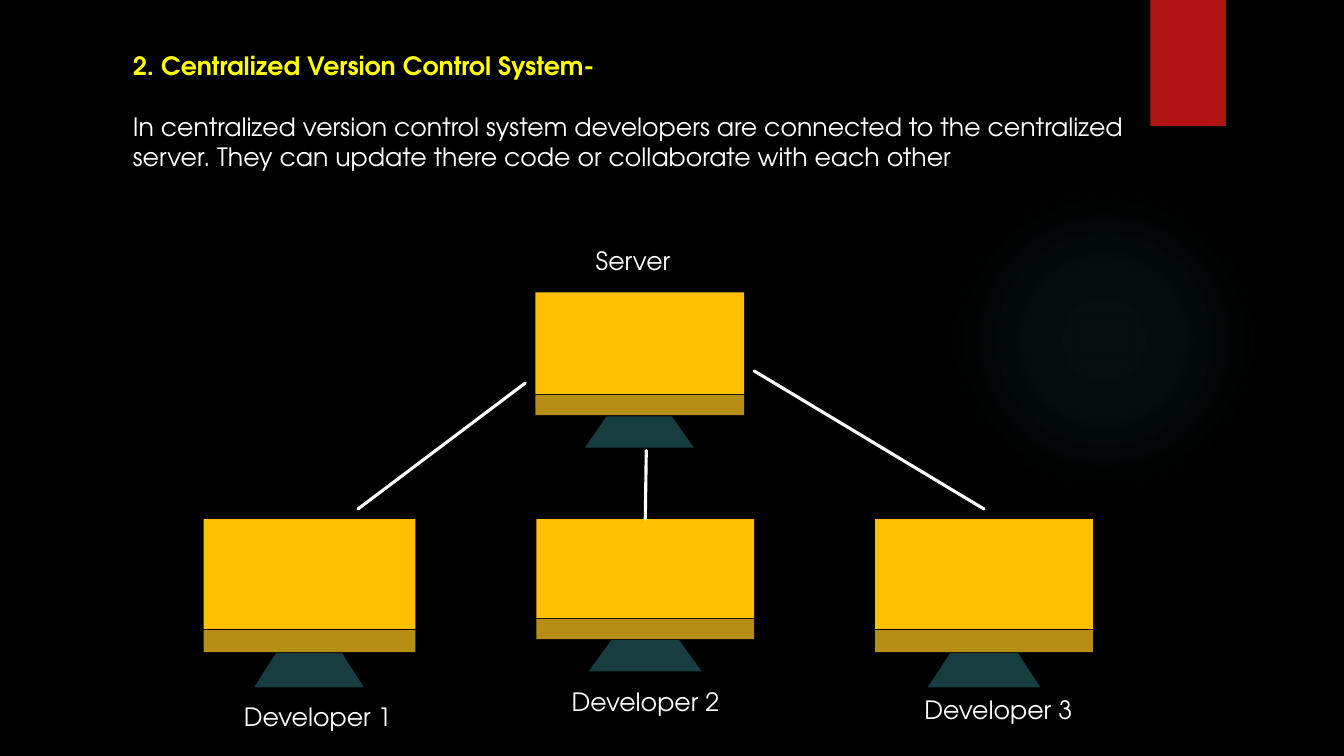
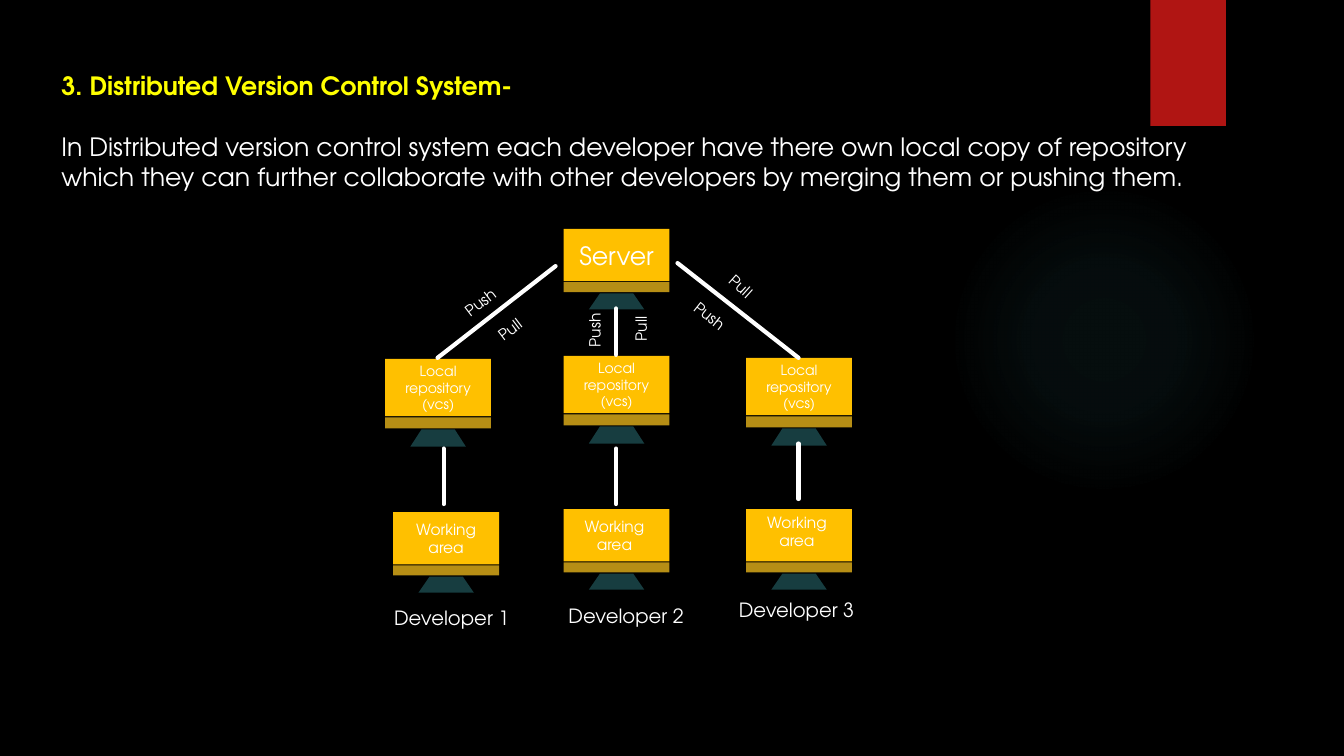
"""Build two slides on centralized and distributed version control."""
from dataclasses import dataclass

from pptx import Presentation
from pptx.dml.color import RGBColor
from pptx.enum.shapes import MSO_CONNECTOR, MSO_SHAPE
from pptx.enum.text import MSO_ANCHOR, PP_ALIGN
from pptx.oxml import parse_xml
from pptx.oxml.ns import nsdecls, qn
from pptx.util import Pt

RECT = MSO_SHAPE.RECTANGLE
OVAL = MSO_SHAPE.OVAL
STAND = MSO_SHAPE.FLOWCHART_MANUAL_OPERATION
STRAIGHT = MSO_CONNECTOR.STRAIGHT
CENTER = PP_ALIGN.CENTER
MIDDLE = MSO_ANCHOR.MIDDLE

PX = 9144
FONT = "TeX Gyre Adventor"
BLACK = RGBColor(0x00, 0x00, 0x00)
WHITE = RGBColor(0xFF, 0xFF, 0xFF)
YELLOW = RGBColor(0xFF, 0xFF, 0x00)
RED = RGBColor(0xB0, 0x15, 0x13)
AMBER = RGBColor(0xFF, 0xC0, 0x00)
OCHRE = RGBColor(0xB6, 0x8E, 0x15)
TEAL = RGBColor(0x17, 0x3D, 0x40)

GLOW_COLOR = "50B9C1"
GLOW_STOPS = ((0, 7), (36, 6), (69, 0))
SHADOW_XML = (
    f'<a:outerShdw {nsdecls("a")} blurRad="38100" dist="25400" dir="5400000">'
    '<a:srgbClr val="000000"><a:alpha val="45000"/></a:srgbClr></a:outerShdw>'
)
LOCAL = "Local repository\n(vcs)"
WORKING = "Working\narea"


@dataclass(frozen=True)
class Computer:
    left: int
    top: int
    width: int
    height: int
    text: str = ""
    size: int = 18
    shift: int = 0
    lift: int = 0


@dataclass(frozen=True)
class Link:
    x1: int
    y1: int
    x2: int
    y2: int


@dataclass(frozen=True)
class Label:
    text: str
    left: int
    top: int
    rotation: float = 0


@dataclass(frozen=True)
class LabelStyle:
    width: int
    height: int
    size: int


def px(*lengths: int) -> list[int]:
    return [n * PX for n in lengths]


def style(p, size: int, color: RGBColor = WHITE, bold: bool = False) -> None:
    for r in p.runs:
        r.font.name = FONT
        r.font.size = Pt(size)
        r.font.color.rgb = color
        r.font.bold = bold


def add_block(shapes, kind, color: RGBColor, left: int, top: int, width: int, height: int):
    sp = shapes.add_shape(kind, *px(left, top, width, height))
    sp.shadow.inherit = False
    sp.fill.solid()
    sp.fill.fore_color.rgb = color
    sp.line.fill.background()
    return sp


def add_glow(s) -> None:
    sp = s.shapes.add_shape(OVAL, *px(941, 183, 308, 308))
    sp.shadow.inherit = False
    sp.line.fill.background()
    stops = "".join(
        f'<a:gs pos="{pos * 1000}"><a:srgbClr val="{GLOW_COLOR}">'
        f'<a:alpha val="{alpha * 1000}"/></a:srgbClr></a:gs>'
        for pos, alpha in GLOW_STOPS
    )
    grad = parse_xml(
        f'<a:gradFill {nsdecls("a")}><a:gsLst>{stops}</a:gsLst><a:path path="circle">'
        '<a:fillToRect l="50000" t="50000" r="50000" b="50000"/></a:path></a:gradFill>'
    )
    sp._element.spPr.find(qn("a:prstGeom")).addnext(grad)


def add_slide(prs, title: str, body: str, left: int, top: int, width: int):
    s = prs.slides.add_slide(prs.slide_layouts[6])
    s.background.fill.solid()
    s.background.fill.fore_color.rgb = BLACK
    add_glow(s)
    tab = add_block(s.shapes, RECT, RED, 1141, 0, 75, 125)
    tab._element.spPr.find(qn("a:effectLst")).append(parse_xml(SHADOW_XML))

    tf = s.shapes.add_textbox(*px(left, top, width, 162)).text_frame
    tf.word_wrap = True
    tf.text = f"{title}\n{body}"
    heading, text = tf.paragraphs
    style(heading, 18, YELLOW, bold=True)
    style(text, 18)
    text.space_before = Pt(21.6)
    return s


def add_computer(s, c: Computer) -> None:
    shapes = s.shapes.add_group_shape().shapes
    bar_top = c.top + c.height + 1
    bar_height = round(c.height * 0.2)
    stand_width = round(c.width * 0.52)
    screen = add_block(shapes, RECT, AMBER, c.left, c.top, c.width, c.height)
    add_block(shapes, RECT, OCHRE, c.left, bar_top, c.width, bar_height)
    stand = add_block(
        shapes, STAND, TEAL, c.left + (c.width - stand_width) // 2,
        bar_top + bar_height + 1, stand_width, round(bar_height * 1.55),
    )
    stand.rotation = 180
    if c.text:
        tf = screen.text_frame
        tf.word_wrap = True
        tf.vertical_anchor = MIDDLE
        tf.margin_top = 0
        tf.margin_right, tf.margin_bottom = px(10 + 2 * c.shift, 2 * c.lift)
        tf.text = c.text
        for p in tf.paragraphs:
            p.alignment = CENTER
            style(p, c.size)


def add_link(s, link: Link, weight: float) -> None:
    cxn = s.shapes.add_connector(STRAIGHT, *px(link.x1, link.y1, link.x2, link.y2))
    cxn.line.color.rgb = WHITE
    cxn.line.width = Pt(weight)
    spPr = cxn._element.spPr
    spPr.find(qn("a:ln")).set("cap", "rnd")
    spPr.append(parse_xml(f'<a:effectLst {nsdecls("a")}/>'))


def add_label(s, label: Label, look: LabelStyle) -> None:
    sp = s.shapes.add_textbox(*px(label.left, label.top, look.width, look.height))
    sp.rotation = label.rotation
    tf = sp.text_frame
    tf.word_wrap = True
    tf.text = label.text
    style(tf.paragraphs[0], look.size)


def add_diagram(s, computers: list[Computer], links: list[Link], weight: float,
                labels: dict[LabelStyle, list[Label]]) -> None:
    for c in computers:
        add_computer(s, c)
    for link in links:
        add_link(s, link, weight)
    for look, group in labels.items():
        for label in group:
            add_label(s, label, look)


def build_centralized(prs) -> None:
    s = add_slide(
        prs,
        "2. Centralized Version Control System-",
        "In centralized version control system developers are connected to the "
        "centralized server. They can update there code or collaborate with each other",
        122, 45, 1056,
    )
    computers = [
        Computer(532, 515, 216, 98),
        Computer(202, 515, 210, 109),
        Computer(868, 515, 216, 109),
        Computer(531, 290, 207, 101),
    ]
    links = [
        Link(355, 505, 521, 380),
        Link(748, 368, 976, 505),
        Link(640, 515, 641, 447),
    ]
    names = [
        Label("Server", 581, 238),
        Label("Developer 1", 232, 691),
        Label("Developer 2", 557, 676),
        Label("Developer 3", 907, 684),
    ]
    add_diagram(s, computers, links, 2.25, {LabelStyle(168, 40, 18): names})


def build_distributed(prs) -> None:
    s = add_slide(
        prs,
        "3. Distributed Version Control System-",
        "In Distributed version control system each developer have there own local "
        "copy of repository which they can further collaborate with other developers "
        "by merging them or pushing them.",
        51, 65, 1202,
    )
    computers = [
        Computer(559, 227, 105, 52, "Server"),
        Computer(382, 356, 105, 57, LOCAL, 10),
        Computer(559, 353, 105, 57, LOCAL, 10),
        Computer(740, 355, 105, 57, LOCAL, 10),
        Computer(390, 508, 105, 52, WORKING, 11),
        Computer(559, 505, 105, 52, WORKING, 11, shift=2),
        Computer(740, 505, 105, 52, WORKING, 11, shift=2, lift=4),
    ]
    links = [
        Link(551, 264, 434, 355),
        Link(792, 355, 672, 261),
        Link(611, 306, 611, 352),
        Link(611, 445, 611, 500),
        Link(792, 440, 792, 495),
        Link(440, 445, 440, 500),
    ]
    names = [
        Label("Developer 1", 381, 596),
        Label("Developer 2", 554, 594),
        Label("Developer 3", 723, 588),
    ]
    actions = [
        Label("Push", 448, 280, 323),
        Label("Push", 554, 304, 270),
        Label("Push", 675, 305, 38.3),
        Label("Pull", 481, 304, 323),
        Label("Pull", 600, 298, 270),
        Label("Pull", 709, 279, 41.7),
    ]
    add_diagram(s, computers, links, 3, {
        LabelStyle(137, 34, 14): names,
        LabelStyle(72, 29, 11): actions,
    })


def main() -> None:
    prs = Presentation()
    prs.slide_width, prs.slide_height = px(1333, 750)
    build_centralized(prs)
    build_distributed(prs)
    prs.save("out.pptx")


if __name__ == "__main__":
    main()
